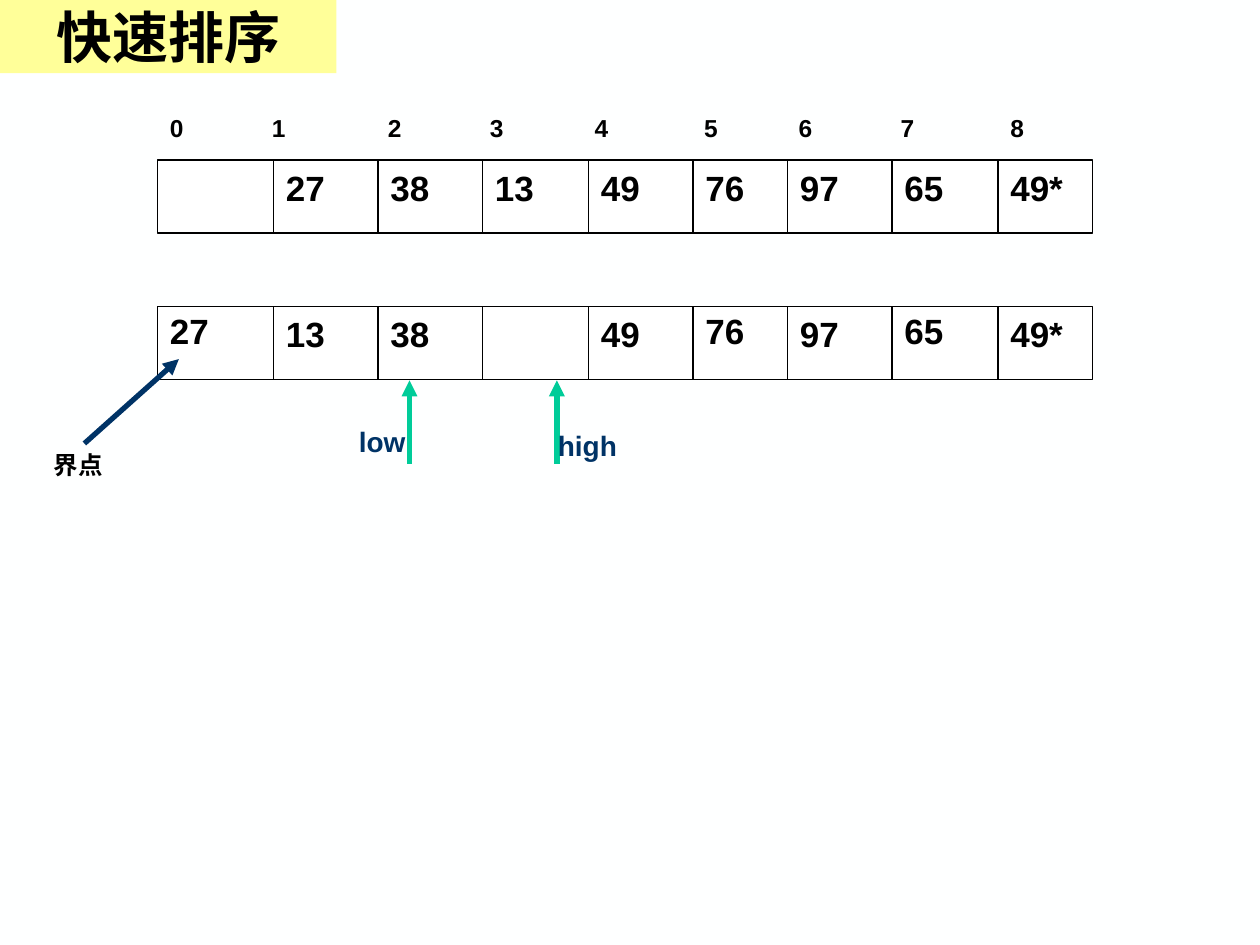
from lxml.etree import SubElement
from pptx import Presentation
from pptx.dml.color import RGBColor
from pptx.enum.shapes import MSO_CONNECTOR, MSO_SHAPE
from pptx.enum.text import MSO_ANCHOR, PP_ALIGN
from pptx.oxml.ns import qn
from pptx.util import Inches, Pt

BLACK = RGBColor(0x00, 0x00, 0x00)
WHITE = RGBColor(0xFF, 0xFF, 0xFF)
PAPER = RGBColor(0xFE, 0xFF, 0xFF)
YELLOW = RGBColor(0xFF, 0xFF, 0x99)
NAVY = RGBColor(0x00, 0x33, 0x66)
GREEN = RGBColor(0x00, 0xCC, 0x99)

CELL_LEFTS = [1.25, 2.17, 3, 3.83, 4.67, 5.5, 6.25, 7.08, 7.92]
ROW_WIDTH, ROW_HEIGHT = 7.42, 0.58
INDEX_TABS = [0.81, 1.73, 2.54, 3.37, 4.24, 4.99, 5.8, 6.67]


class SlideBuilder:
    def __init__(self, slide, font="Arial"):
        self.slide = slide
        self.font = font

    def style(self, p, size, color, font=None):
        p.font.name = font or self.font
        p.font.size = Pt(size)
        p.font.bold = True
        p.font.color.rgb = color

    def text(self, text, x, y, w, h, size=20, color=BLACK, tabs=()):
        box = self.slide.shapes.add_textbox(Inches(x), Inches(y), Inches(w), Inches(h))
        tf = box.text_frame
        tf.word_wrap = True
        p = tf.paragraphs[0]
        p.text = text
        if tabs:
            tab_list = SubElement(p._p.get_or_add_pPr(), qn("a:tabLst"))
            for pos in tabs:
                SubElement(tab_list, qn("a:tab"), pos=str(Inches(pos)), algn="l")
        self.style(p, size, color)

    def rect(self, x, y, w, h, fill, line=None):
        sp = self.slide.shapes.add_shape(
            MSO_SHAPE.RECTANGLE, Inches(x), Inches(y), Inches(w), Inches(h))
        sp.shadow.inherit = False
        sp.fill.solid()
        sp.fill.fore_color.rgb = fill
        if line is None:
            sp.line.fill.background()
        else:
            sp.line.color.rgb = line
            sp.line.width = Pt(0.75)
        return sp

    def line(self, x1, y1, x2, y2, color=BLACK, width=0.75, arrow=False):
        cxn = self.slide.shapes.add_connector(
            MSO_CONNECTOR.STRAIGHT, Inches(x1), Inches(y1), Inches(x2), Inches(y2))
        cxn.line.color.rgb = color
        cxn.line.width = Pt(width)
        if arrow:
            SubElement(cxn.line._get_or_add_ln(), qn("a:tailEnd"), type="triangle")
        SubElement(cxn._element.spPr, qn("a:effectLst"))

    def array_row(self, top, values, raised=()):
        """Draw one array; the cells indexed in raised sit slightly higher."""
        self.rect(CELL_LEFTS[0], top, ROW_WIDTH, ROW_HEIGHT, WHITE, BLACK)
        for x in CELL_LEFTS[1:]:
            self.line(x, top, x, top + ROW_HEIGHT)
        for i, (x, value) in enumerate(zip(CELL_LEFTS, values)):
            if value:
                y = top - 0.02 if i in raised else top
                self.text(value, x, y, 0.67, 0.44)

    def pointer(self, name, x, label_x, label_y):
        self.line(x, 3.68, x, 3.02, GREEN, 3, arrow=True)
        self.text(name, label_x, label_y, 0.92, 0.37, 16, NAVY)

    def title(self, text):
        sp = self.rect(0, 0, 2.67, 0.58, YELLOW)
        tf = sp.text_frame
        tf.vertical_anchor = MSO_ANCHOR.MIDDLE
        p = tf.paragraphs[0]
        p.text = text
        p.alignment = PP_ALIGN.CENTER
        self.style(p, 32, BLACK, "Times New Roman")


def main():
    prs = Presentation()
    prs.slide_width, prs.slide_height = Inches(10), Inches(7.5)
    slide = prs.slides.add_slide(prs.slide_layouts[6])
    slide.background.fill.solid()
    slide.background.fill.fore_color.rgb = PAPER
    s = SlideBuilder(slide)

    s.array_row(2.43, ["27", "13", "38", "", "49", "76", "97", "65", "49*"],
                raised=(0, 5, 7))
    s.array_row(1.27, ["", "27", "38", "13", "49", "76", "97", "65", "49*"])
    s.text("\t".join(str(i) for i in range(9)), 1.25, 0.85, ROW_WIDTH, 0.34, 14,
           tabs=INDEX_TABS)
    s.pointer("high", 4.42, 4.33, 3.35)
    s.pointer("low", 3.25, 2.75, 3.32)
    s.text("界点", 0.33, 3.52, 0.83, 0.34, 14)
    s.line(0.67, 3.52, 1.42, 2.85, NAVY, 3, arrow=True)
    s.title("快速排序")

    prs.save("out.pptx")


if __name__ == "__main__":
    main()
